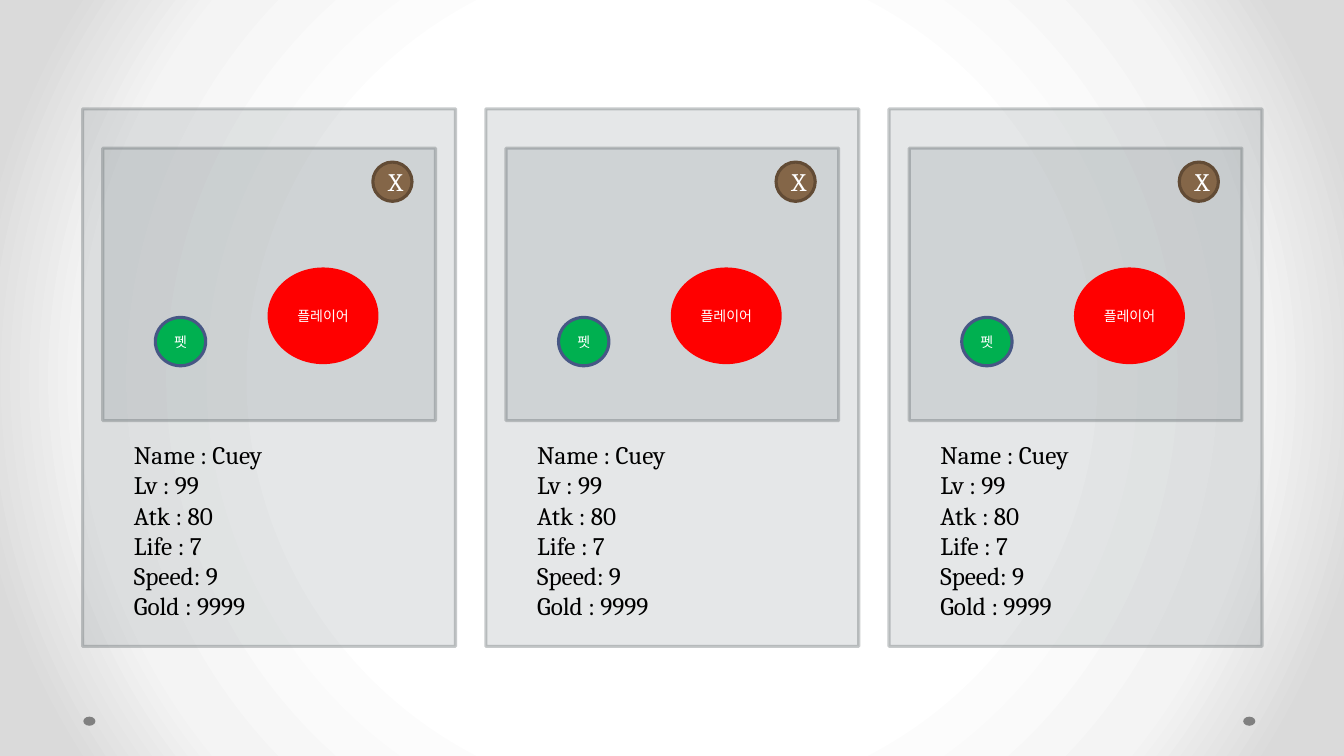
from dataclasses import dataclass

from pptx import Presentation
from pptx.dml.color import RGBColor
from pptx.enum.shapes import MSO_SHAPE as Shape
from pptx.enum.text import MSO_ANCHOR as Anchor, MSO_AUTO_SIZE as AutoSize, PP_ALIGN as Align
from pptx.oxml import parse_xml
from pptx.oxml.ns import nsdecls, qn
from pptx.util import Inches, Pt


@dataclass(frozen=True)
class Theme:
    """Hold the colours, type sizes and strokes of the deck."""
    font: str = "Cambria"
    small: float = 10
    large: float = 18
    stroke: float = 2.25
    panel: str = "758085"
    panel_line: str = "575F62"
    panel_opacity: int = 19
    line_opacity: int = 33
    player: str = "FF0000"
    pet: str = "00B050"
    pet_line: str = "475785"
    close: str = "846648"
    close_line: str = "624B35"
    dot: str = "808080"
    light: str = "FFFFFF"
    dark: str = "000000"
    backdrop: tuple = ((50, "FFFFFF"), (76, "F4F4F4"), (92, "DADADA"))


@dataclass(frozen=True)
class Box:
    """Describe a rectangle that can be divided by percentages."""
    left: float
    top: float
    width: float
    height: float

    def inner(self, left, top, width, height):
        """Return an inner box given in percent of this one."""
        return Box(self.left + self.width * left / 100, self.top + self.height * top / 100,
                   self.width * width / 100, self.height * height / 100)

    def frame(self):
        """Return the four lengths for a new shape."""
        return [Inches(value) for value in (self.left, self.top, self.width, self.height)]


THEME = Theme()
STATS = ("Name : Cuey", "Lv : 99", "Atk : 80", "Life : 7", "Speed: 9", "Gold : 9999")


def apply(target, values):
    """Set each named attribute of the target."""
    for name, value in values.items():
        setattr(target, name, value)


def set_opacity(fill, percent):
    """Make a solid fill translucent."""
    color = fill._xPr.find(qn("a:solidFill"))[0]
    color.append(parse_xml(f'<a:alpha {nsdecls("a")} val="{percent * 1000}"/>'))


def write(shape, lines, size, color, align, **frame_values):
    """Write one paragraph per line in the theme font."""
    frame = shape.text_frame
    apply(frame, frame_values)
    frame.text = "\n".join(lines)
    for para in frame.paragraphs:
        para.alignment = align
        for span in para.runs:
            apply(span.font, {"name": THEME.font, "size": Pt(size)})
            span.font.color.rgb = RGBColor.from_string(color)


def draw(page, kind, box, color, line=None):
    """Add a flat preset shape with an optional outline."""
    shape = page.shapes.add_shape(kind, *box.frame())
    shape.shadow.inherit = False
    shape.fill.solid()
    shape.fill.fore_color.rgb = RGBColor.from_string(color)
    if line:
        shape.line.color.rgb = RGBColor.from_string(line)
        shape.line.width = Pt(THEME.stroke)
    else:
        shape.line.fill.background()
    return shape


def add_panel(page, box):
    """Add a translucent grey rectangle."""
    panel = draw(page, Shape.RECTANGLE, box, THEME.panel, THEME.panel_line)
    set_opacity(panel.fill, THEME.panel_opacity)
    set_opacity(panel.line.fill, THEME.line_opacity)


def add_token(page, box, label, size, color, line):
    """Add a labelled ellipse."""
    token = draw(page, Shape.OVAL, box, color, line)
    write(token, [label], size, THEME.light, Align.CENTER, vertical_anchor=Anchor.MIDDLE)


def add_card(page, box):
    """Add a character card with its scene and stats."""
    add_panel(page, box)
    add_panel(page, box.inner(5.4, 7.3, 89.2, 50.7))
    tokens = (
        ((50, 29.8, 28.9, 17.4), "플레이어", THEME.small, THEME.player, THEME.player),
        ((19.5, 38.8, 13.5, 9), "펫", THEME.small, THEME.pet, THEME.pet_line),
        ((77.8, 9.9, 10.5, 7.3), "X", THEME.large, THEME.close, THEME.close_line),
    )
    for place, *style in tokens:
        add_token(page, box.inner(*place), *style)
    stats = page.shapes.add_textbox(*box.inner(11.1, 60.6, 44.9, 36).frame())
    write(stats, STATS, THEME.large, THEME.dark, Align.LEFT,
          word_wrap=False, auto_size=AutoSize.SHAPE_TO_FIT_TEXT)


def add_backdrop(page, box):
    """Paint the radial background and the two footer dots."""
    page.background.fill.solid()
    solid = page.background.fill._xPr.find(qn("a:solidFill"))
    stops = "".join(f'<a:gs pos="{place * 1000}"><a:srgbClr val="{color}"/></a:gs>'
                    for place, color in THEME.backdrop)
    solid.getparent().replace(solid, parse_xml(
        f'<a:gradFill {nsdecls("a")} rotWithShape="1"><a:gsLst>{stops}</a:gsLst>'
        '<a:path path="circle"><a:fillToRect l="50000" t="50000" r="50000" b="50000"/>'
        '</a:path></a:gradFill>'))
    for left in (92.5, 6.2):
        draw(page, Shape.OVAL, box.inner(left, 94.8, 0.9, 1.2), THEME.dot)


def build_card_page(page, box):
    """Fill the page with three equally spaced cards."""
    add_backdrop(page, box)
    for column in range(3):
        add_card(page, box.inner(6.15 + 30 * column, 14.4, 27.75, 71.1))


deck = Presentation()
canvas = Box(0, 0, 13.33, 7.5)
apply(deck, {"slide_width": Inches(canvas.width), "slide_height": Inches(canvas.height)})
build_card_page(deck.slides.add_slide(deck.slide_layouts[6]), canvas)
deck.save("out.pptx")
